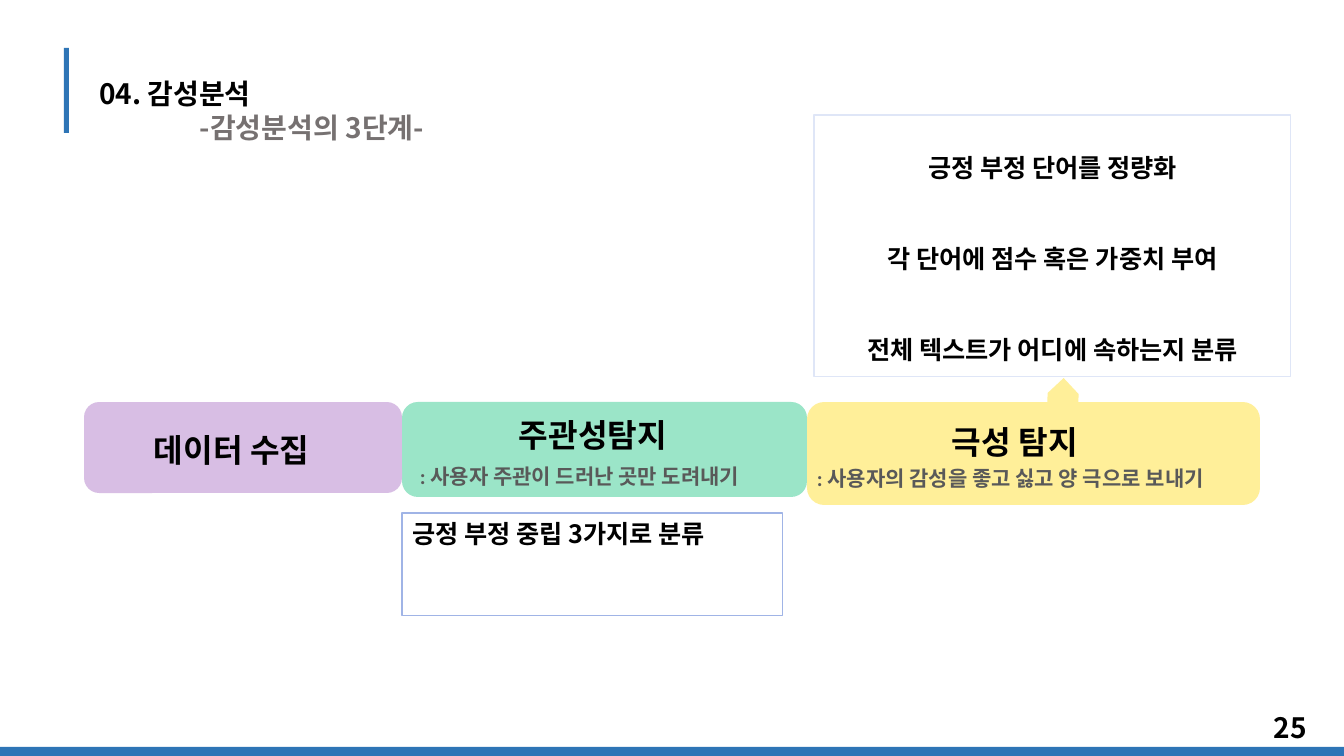
from dataclasses import dataclass
from typing import NamedTuple

from lxml import etree
from pptx import Presentation
from pptx import util as u
from pptx.dml.color import RGBColor
from pptx.enum import shapes, text
from pptx.oxml.ns import qn

KIND = shapes.MSO_SHAPE
ALIGN = text.PP_ALIGN
ANCHOR = text.MSO_ANCHOR
WIDE, HIGH = 1344, 756
SCALE = 12192000 / WIDE
LEAD = 1.22


@dataclass(frozen=True)
class Theme:
    ink: str = "000000"
    note: str = "595959"
    gray: str = "767171"
    blue: str = "2E75B6"
    lilac: str = "D8BEE4"
    mint: str = "9BE5C8"
    yellow: str = "FFEF99"
    edge: str = "A0B4E6"
    pale: str = "DFE6F7"
    latin: str = "Calibri"
    hangul: str = "Noto Sans CJK KR"
    step: int = 23
    head: int = 20
    body: int = 18
    small: int = 15


THEME = Theme()


class Box(NamedTuple):
    left: int
    top: int
    width: int
    height: int


class Block(NamedTuple):
    kind: KIND
    box: Box
    fill: str
    turn: int = 0


class Label(NamedTuple):
    words: str
    box: Box
    size: int
    color: str


ROUND = KIND.FLOWCHART_ALTERNATE_PROCESS
BLOCKS = [
    Block(ROUND, Box(807, 402, 453, 103), THEME.yellow),
    Block(ROUND, Box(402, 402, 405, 95), THEME.mint),
    Block(ROUND, Box(84, 402, 318, 91), THEME.lilac),
    Block(KIND.CHEVRON, Box(1029, 396, 67, 31), THEME.yellow, 272),
    Block(KIND.RECTANGLE, Box(64, 48, 5, 85), THEME.blue),
    Block(KIND.RECTANGLE, Box(0, 747, WIDE, HIGH - 747), THEME.blue),
]
LABELS = [
    Label("데이터 수집", Box(144, 425, 234, 64), THEME.step, THEME.ink),
    Label("주관성탐지", Box(509, 410, 250, 40), THEME.step, THEME.ink),
    Label(": 사용자 주관이 드러난 곳만 도려내기", Box(410, 458, 421, 88),
          THEME.small, THEME.note),
    Label(": 사용자의 감성을 좋고 싫고 양 극으로 보내기", Box(807, 460, 444, 53),
          THEME.small, THEME.note),
    Label("극성 탐지", Box(942, 417, 219, 40), THEME.step, THEME.ink),
]
POINTS = ["긍정 부정 단어를 정량화", "각 단어에 점수 혹은 가중치 부여",
          "전체 텍스트가 어디에 속하는지 분류"]


def px(count: float) -> u.Emu:
    return u.Emu(round(count * SCALE))


def place(shape, box: Box) -> None:
    shape.left, shape.top, shape.width, shape.height = map(px, box)


def tint(color: str) -> RGBColor:
    return RGBColor.from_string(color)


def write(shape, lines: list[str], *, size: int, color: str = THEME.ink,
          face: str = THEME.latin, align: ALIGN = ALIGN.LEFT,
          anchor: ANCHOR = ANCHOR.TOP, gap: int = 0, inset: int = 5) -> None:
    """Fill a shape with bold lines, gap points apart, inset px from its top."""
    frame = shape.text_frame
    frame.word_wrap = True
    frame.auto_size = text.MSO_AUTO_SIZE.NONE
    frame.vertical_anchor = anchor
    frame.margin_left = frame.margin_right = px(10)
    frame.margin_top, frame.margin_bottom = px(inset), px(5)
    for i, line in enumerate(lines):
        para = frame.add_paragraph() if i else frame.paragraphs[0]
        props = para._p.get_or_add_pPr()
        props.set("marL", "0")
        props.set("indent", "0")
        etree.SubElement(props, qn("a:buNone"))
        para.alignment = align
        para.line_spacing = u.Pt(round(size * LEAD, 1))
        para.space_before = u.Pt(gap if i else 0)
        run = para.add_run()
        run.text = line
        font = run.font
        font.size, font.bold, font.name = u.Pt(size), True, face
        font.color.rgb = tint(color)
        east = etree.SubElement(run._r.get_or_add_rPr(), qn("a:ea"))
        east.set("typeface", THEME.hangul)


def block(slide, item: Block):
    shape = slide.shapes.add_shape(item.kind, *map(px, item.box))
    shape.shadow.inherit = False
    shape.fill.solid()
    shape.fill.fore_color.rgb = tint(item.fill)
    shape.line.fill.background()
    shape.rotation = item.turn
    return shape


def frame(shape, color: str) -> None:
    """Leave only a thin outline around a shape."""
    shape.fill.background()
    shape.line.color.rgb = tint(color)
    shape.line.width = u.Pt(0.75)


def label(slide, item: Label, **style) -> None:
    shape = slide.shapes.add_textbox(*map(px, item.box))
    write(shape, [item.words], size=item.size, color=item.color, **style)


def main() -> None:
    deck = Presentation()
    deck.slide_width, deck.slide_height = px(WIDE), px(HIGH)
    slide = deck.slides.add_slide(deck.slide_layouts[1])

    title, points = slide.placeholders
    place(title, Box(89, 71, 486, 78))
    write(title, ["04. 감성분석", "-감성분석의 3단계-"], size=THEME.head,
          face=THEME.hangul)
    under = title.text_frame.paragraphs[1]
    under._p.get_or_add_pPr().set("marL", str(u.Inches(1)))
    under.runs[0].font.color.rgb = tint(THEME.gray)

    place(points, Box(814, 115, 477, 262))
    frame(points, THEME.pale)
    write(points, POINTS, size=THEME.body, align=ALIGN.CENTER, gap=43, inset=37)

    for item in BLOCKS:
        block(slide, item)
    for item in LABELS:
        label(slide, item)

    sorts = slide.shapes.add_shape(KIND.RECTANGLE, *map(px, Box(402, 513, 381, 103)))
    sorts.shadow.inherit = False
    frame(sorts, THEME.edge)
    write(sorts, ["긍정 부정 중립 3가지로 분류"], size=THEME.body, face=THEME.hangul)

    page = Label("25", Box(1015, 707, 302, 40), THEME.head, THEME.ink)
    label(slide, page, face=THEME.hangul, align=ALIGN.RIGHT, anchor=ANCHOR.MIDDLE)
    deck.save("out.pptx")


if __name__ == "__main__":
    main()
